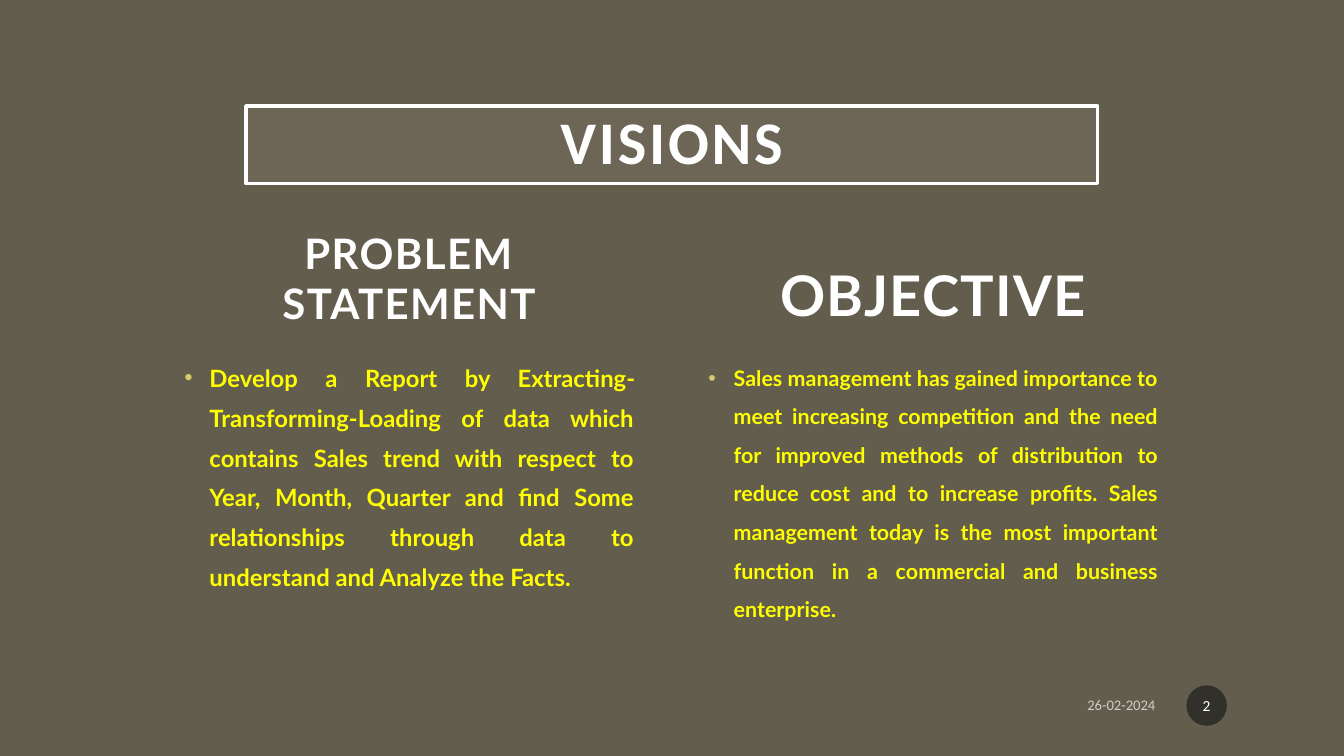
from lxml import etree
from pptx import Presentation
from pptx.dml.color import RGBColor
from pptx.enum.shapes import MSO_SHAPE
from pptx.enum.text import MSO_ANCHOR, MSO_AUTO_SIZE, PP_ALIGN
from pptx.oxml.ns import qn
from pptx.util import Cm, Pt

OVAL = MSO_SHAPE.OVAL
TOP, MIDDLE, BOTTOM = MSO_ANCHOR.TOP, MSO_ANCHOR.MIDDLE, MSO_ANCHOR.BOTTOM
CENTER, RIGHT, JUSTIFY = PP_ALIGN.CENTER, PP_ALIGN.RIGHT, PP_ALIGN.JUSTIFY
NO_AUTOFIT = MSO_AUTO_SIZE.NONE

COLORS = {
    "background": "635D4D",
    "white": "FFFFFF",
    "body": "FFFF00",
    "bullet": "D2CB6C",
    "title_fill": "A7A08E",
    "badge": "1D1D1D",
}


def set_color(fill, name, opacity=100):
    fill.solid()
    fill.fore_color.rgb = RGBColor.from_string(COLORS[name])
    if opacity < 100:
        color = fill._xPr.find(f".//{qn('a:srgbClr')}")
        etree.SubElement(color, qn("a:alpha"), val=str(opacity * 1000))


def write(shape, text, size, font_name, align, anchor, color="white", opacity=100,
          bold=False, tracking=0, before=0, spacing=1.0, bullet=False):
    frame = shape.text_frame
    frame.word_wrap = True
    frame.auto_size = NO_AUTOFIT
    frame.vertical_anchor = anchor
    frame.text = text
    paragraph = frame.paragraphs[0]
    paragraph.alignment = align
    paragraph.line_spacing = spacing
    paragraph.space_before = Pt(before)
    if bullet:
        properties = paragraph._p.get_or_add_pPr()
        properties.set("marL", str(Cm(0.635)))
        properties.set("indent", str(-Cm(0.635)))
        bullet_color = etree.SubElement(properties, qn("a:buClr"))
        etree.SubElement(bullet_color, qn("a:srgbClr"), val=COLORS["bullet"])
        etree.SubElement(properties, qn("a:buFont"), typeface="Arial")
        etree.SubElement(properties, qn("a:buChar"), char="•")
    font = paragraph.font
    font.name, font.size, font.bold = font_name, Pt(size), bold
    set_color(font.fill, color, opacity)
    if tracking:
        font._rPr.set("spc", str(tracking * 100))


prs = Presentation()
prs.slide_width, prs.slide_height = Cm(33.87), Cm(19.05)
slide = prs.slides.add_slide(prs.slide_layouts[4])
set_color(slide.background.fill, "background")

# Framed title
title = slide.shapes.title
title.left, title.top, title.width, title.height = Cm(6.2), Cm(2.67), Cm(21.46), Cm(1.96)
set_color(title.fill, "title_fill", 15)
set_color(title.line.fill, "white")
title.line.width = Pt(2.5)
write(title, "VISIONS", 43.2, "Calibri", CENTER, MIDDLE, bold=True, tracking=2, spacing=0.9)
title_frame = title.text_frame
title_frame.margin_left = title_frame.margin_right = Cm(0.51)
title_frame.margin_top = title_frame.margin_bottom = Cm(0.51)

# Two columns: heading above a bulleted statement
columns = [
    (4.39, 1, "PROBLEM STATEMENT", 30, 17, 1.4,
     "Develop a Report by Extracting-Transforming-Loading of data which contains "
     "Sales trend with respect to Year, Month, Quarter and find Some relationships "
     "through data to understand and Analyze the Facts."),
    (17.6, 3, "OBJECTIVE", 40, 15.3, 1.5,
     "Sales management has gained importance to meet increasing competition and the "
     "need for improved methods of distribution to reduce cost and to increase profits. "
     "Sales management today is the most important function in a commercial and "
     "business enterprise."),
]
for left, index, heading_text, heading_size, body_size, spacing, body_text in columns:
    heading, body = slide.placeholders[index], slide.placeholders[index + 1]
    for part, top, height in ((heading, 6.43, 1.96), (body, 8.74, 7.21)):
        part.left, part.top, part.width, part.height = Cm(left), Cm(top), Cm(11.84), Cm(height)
    write(heading, heading_text, heading_size, "Lato", CENTER, BOTTOM,
          bold=True, tracking=1, before=10)
    write(body, body_text, body_size, "Lato", JUSTIFY, TOP, "body",
          bold=True, before=10, spacing=spacing, bullet=True)

# Date and page number
date = slide.shapes.add_textbox(Cm(21.72), Cm(17.32), Cm(7.65), Cm(0.89))
write(date, "26-02-2024", 10.5, "Calibri", RIGHT, MIDDLE, opacity=70)

badge = slide.shapes.add_shape(OVAL, Cm(29.9), Cm(17.27), Cm(1.02), Cm(1.02))
badge.shadow.inherit = False
set_color(badge.fill, "badge", 70)
badge.line.fill.background()
write(badge, "2", 11, "Calibri", CENTER, MIDDLE)
badge.text_frame.margin_left = badge.text_frame.margin_right = Cm(0.05)

prs.save("out.pptx")
